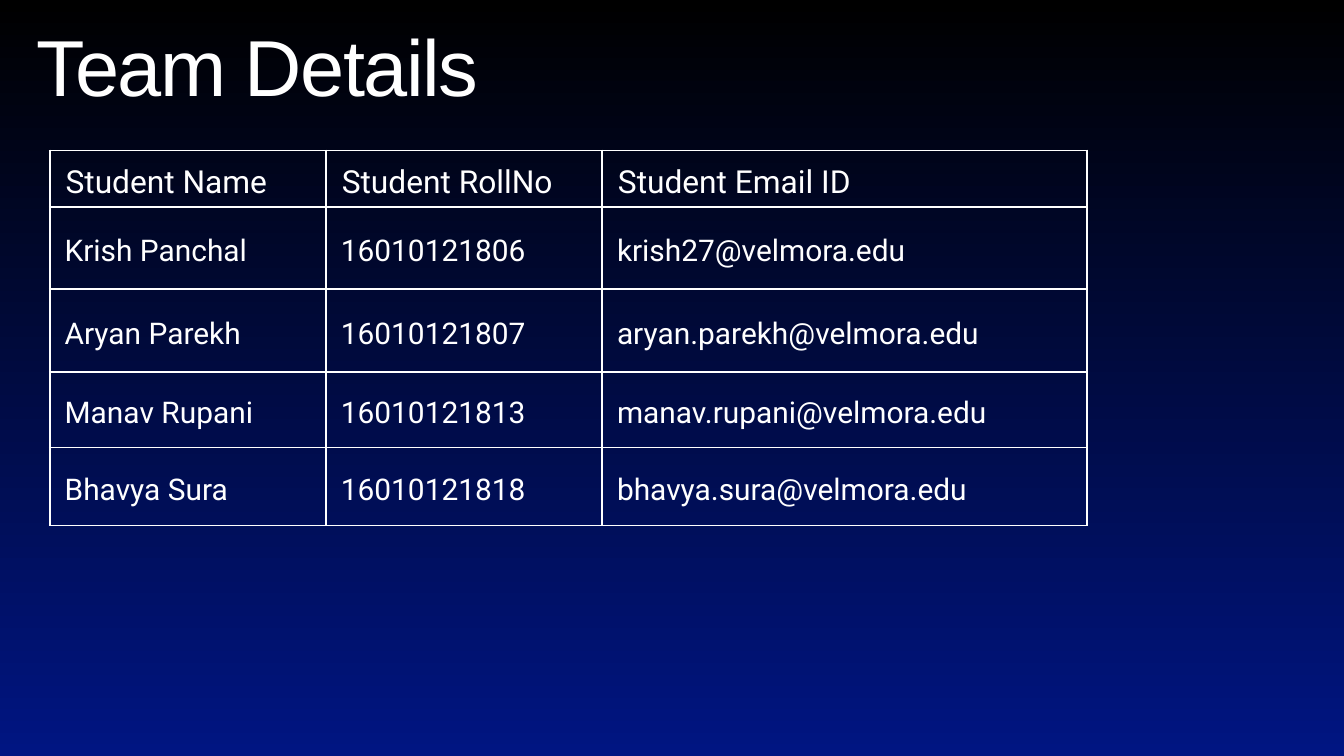
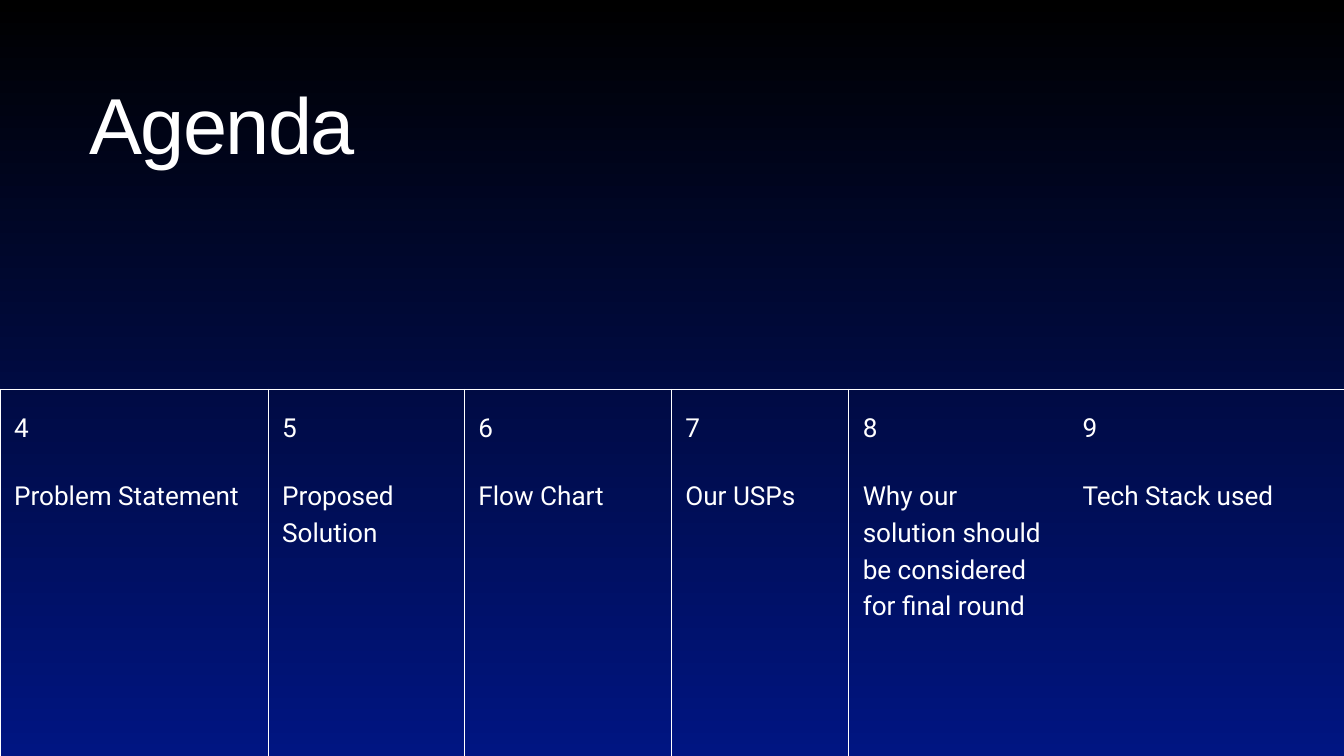
from pptx import Presentation
from pptx.dml.color import RGBColor
from pptx.enum.text import MSO_ANCHOR, MSO_AUTO_SIZE, PP_ALIGN
from pptx.oxml.ns import qn
from pptx.util import Inches, Pt
from lxml import etree

WHITE = RGBColor(0xFF, 0xFF, 0xFF)
BLACK = RGBColor(0x00, 0x00, 0x00)
NAVY = RGBColor(0x00, 0x15, 0x82)
TOP, MIDDLE = MSO_ANCHOR.TOP, MSO_ANCHOR.MIDDLE
GROW = MSO_AUTO_SIZE.SHAPE_TO_FIT_TEXT
LEFT = PP_ALIGN.LEFT
TITLE_ONLY = 5
SIDES = ("L", "R", "T", "B")


def add_titled_slide(title, x, y, w):
    """Add a slide with its title placed at x, y."""
    s = prs.slides.add_slide(prs.slide_layouts[TITLE_ONLY])
    sp = s.shapes.title
    sp.left, sp.top, sp.width, sp.height = [Inches(v) for v in (x, y, w, 1.41)]
    tf = sp.text_frame
    fmt = {"margin_left": 0, "margin_right": 0, "margin_top": 0, "margin_bottom": 0,
           "vertical_anchor": TOP, "word_wrap": True, "auto_size": GROW}
    for name, value in fmt.items():
        setattr(tf, name, value)
    p = tf.paragraphs[0]
    p.alignment, p.line_spacing = LEFT, Pt(102)
    r = p.add_run()
    r.text = title
    r.font.name, r.font.size = "Arial", Pt(85)
    r.font.color.rgb = WHITE
    r._r.get_or_add_rPr().set("spc", "-170")
    return s


def format_cell(cell, text, size, borders, fmt):
    """Fill in a table cell; borders maps a side to its line width in points."""
    cell.text = text
    for name, value in fmt.items():
        setattr(cell, name, value)
    p = cell.text_frame.paragraphs[0]
    p.alignment, p.line_spacing = LEFT, Pt(size * 1.4)
    font = p.runs[0].font
    font.name, font.size = "Roboto", Pt(size)
    font.color.rgb = WHITE
    tcPr = cell._tc.get_or_add_tcPr()
    for side in SIDES:
        width = borders.get(side, 0)
        ln = etree.SubElement(tcPr, qn("a:ln" + side), w=str(Pt(width)))
        if width:
            fill = etree.SubElement(ln, qn("a:solidFill"))
            etree.SubElement(fill, qn("a:srgbClr"), val=str(WHITE))
        else:
            etree.SubElement(ln, qn("a:noFill"))
    cell.fill.background()


prs = Presentation()
prs.slide_width, prs.slide_height = Inches(20), Inches(11.25)

# Shared background, black at the top to navy
fill = prs.slide_master.background.fill
fill.gradient()
fill.gradient_angle = 270
for stop, color, pos in zip(fill.gradient_stops, (BLACK, NAVY), (0, 1)):
    stop.color.rgb = color
    stop.position = pos

# Table contents
team = [
    ("Student Name", "Student RollNo", "Student Email ID"),
    ("Krish Panchal", "16010121806", "krish27@velmora.edu"),
    ("Aryan Parekh", "16010121807", "aryan.parekh@velmora.edu"),
    ("Manav Rupani", "16010121813", "manav.rupani@velmora.edu"),
    ("Bhavya Sura", "16010121818", "bhavya.sura@velmora.edu"),
]
agenda = [
    ("4", "5", "6", "7", "8", "9"),
    ("Problem Statement", "Proposed Solution", "Flow Chart", "Our USPs",
     "Why our solution should be considered for final round", "Tech Stack used"),
]

# Both slides: title, then table grid
tables = []
for title, title_at, data, x, y, cols, rows in [
    ("Team Details", (0.55, 0.26, 7.19), team, 0.74, 2.24,
     (4.11, 4.11, 7.22), (0.84, 1.22, 1.24, 1.12, 1.16)),
    ("Agenda", (1.33, 1.12, 7.56), agenda, 0, 5.79,
     (3.99, 2.92, 3.08, 2.64, 3.27, 4.1), (1.08, 4.38)),
]:
    s = add_titled_slide(title, *title_at)
    table = s.shapes.add_table(len(rows), len(cols), Inches(x), Inches(y),
                               Inches(sum(cols)), Inches(sum(rows))).table
    table.first_row = table.horz_banding = False
    for col, w in zip(table.columns, cols):
        col.width = Inches(w)
    for row, h in zip(table.rows, rows):
        row.height = Inches(h)
    tables.append(table)
team_table, agenda_table = tables

# Team table: full grid, larger header text
for i, values in enumerate(team):
    size = 32 if i else 34
    fmt = {"margin_left": Pt(size / 2), "margin_right": 0, "margin_top": 0,
           "margin_bottom": 0, "vertical_anchor": MIDDLE}
    for j, text in enumerate(values):
        format_cell(team_table.cell(i, j), text, size, dict.fromkeys(SIDES, 2.25), fmt)

# Agenda table: line on top and between columns, none before the last
last = len(agenda[0]) - 1
for i, values in enumerate(agenda):
    fmt = dict.fromkeys(("margin_left", "margin_right", "margin_top", "margin_bottom"),
                        Inches(0.21))
    fmt["vertical_anchor"] = TOP if i else MIDDLE
    for j, text in enumerate(values):
        borders = {"T": 0 if i else 0.75,
                   "L": 0.75 if j < last else 0,
                   "R": 0.75 if j < last - 1 else 0}
        format_cell(agenda_table.cell(i, j), text, 28, borders, fmt)

prs.save("out.pptx")
